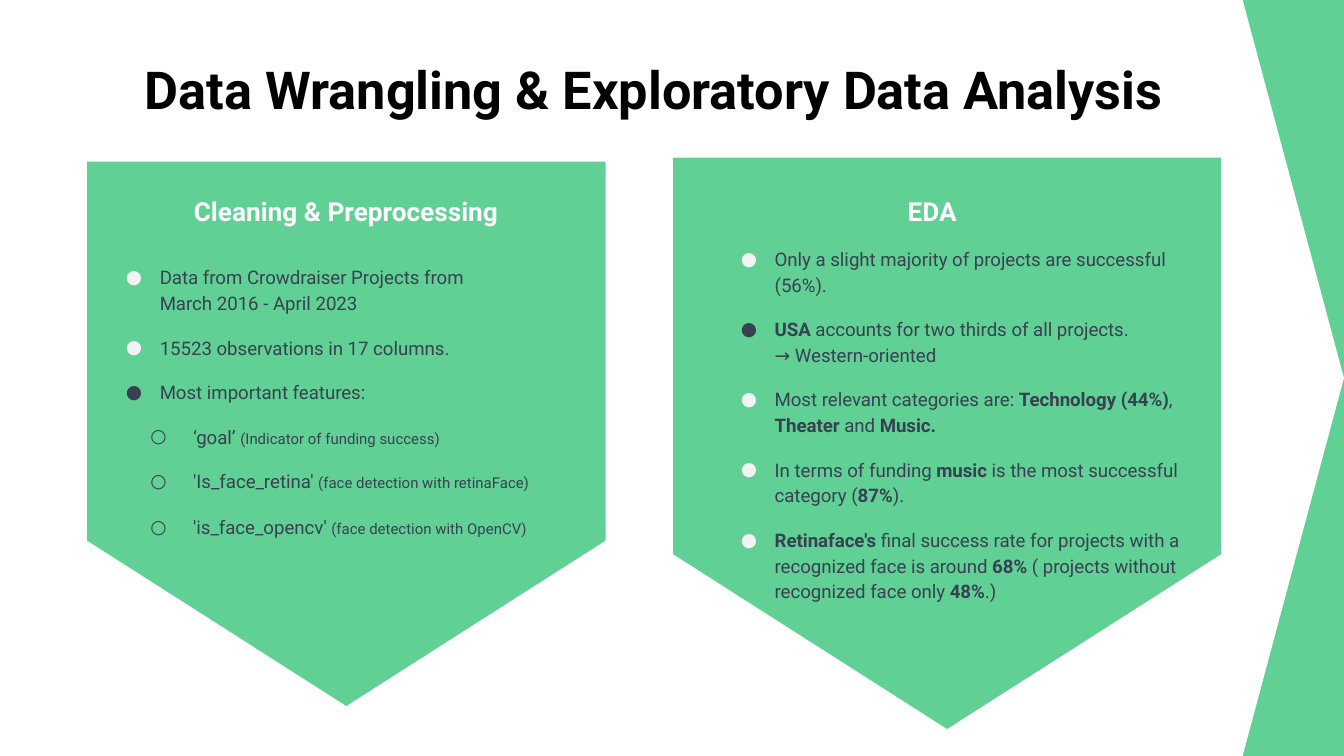
from lxml.etree import SubElement
from pptx import Presentation
from pptx.dml.color import RGBColor
from pptx.enum.shapes import MSO_SHAPE as Shape
from pptx.enum.text import MSO_ANCHOR as Anchor, MSO_AUTO_SIZE as AutoSize, PP_ALIGN as Align
from pptx.oxml.ns import qn
from pptx.util import Cm, Pt

GREEN = RGBColor(0x61, 0xD0, 0x95)
WHITE = RGBColor(0xFF, 0xFF, 0xFF)
BLACK = RGBColor(0x00, 0x00, 0x00)
SLATE = RGBColor(0x37, 0x41, 0x51)
PALE = RGBColor(0xF3, 0xF3, 0xF3)

WIDTH, HEIGHT = 25.4, 14.29
COMPARISON_LAYOUT = 4
SMALL = {"size": Pt(8)}
BOLD = {"bold": True}
# Level: bullet character, left margin, hanging indent
BULLETS = {0: ("●", 0.64, -0.64), 1: ("○", 1.27, -0.81)}

# Each item: level, bullet colour, space before in points, text with *emphasis*
CLEANING = [
    (0, PALE, 0, "Data from Crowdraiser Projects from\nMarch 2016 - April 2023"),
    (0, PALE, 10, "15523 observations in 17 columns."),
    (0, SLATE, 10, "Most important features:"),
    (1, SLATE, 10, "‘goal’ *(Indicator of funding success)*"),
    (1, SLATE, 10, "'Is_face_retina' *(face detection with retinaFace)*"),
    (1, SLATE, 11, "'is_face_opencv' *(face detection with OpenCV)*"),
]
EDA = [
    (0, PALE, 0, "Only a slight majority of projects are successful (56%)."),
    (0, SLATE, 10, "*USA* accounts for two thirds of all projects.\n→ Western-oriented"),
    (0, PALE, 10, "Most relevant categories are: *Technology (44%)*, *Theater* and *Music.*"),
    (0, PALE, 10, "In terms of funding *music* is the most successful category (*87%*)."),
    (0, PALE, 10, "*Retinaface's* final success rate for projects with a recognized face "
                  "is around *68%* ( projects without recognized face only *48%*.)"),
]


def set_values(target, values):
    for name, value in values.items():
        setattr(target, name, value)


class SlideBuilder:
    def __init__(self, page, font="Roboto"):
        self.page = page
        self.font = font

    def background(self, color):
        fill = self.page.background.fill
        fill.solid()
        fill.fore_color.rgb = color

    def pentagon(self, place, color, point, rotation=0):
        shape = self.page.shapes.add_shape(Shape.PENTAGON, *map(Cm, place))
        shape.adjustments[0] = point
        shape.rotation = rotation
        shape.shadow.inherit = False
        shape.fill.solid()
        shape.fill.fore_color.rgb = color
        shape.line.fill.background()

    def placeholder(self, index, place, left_inset=0.25):
        """Place a layout placeholder in front of the shapes drawn so far."""
        box = self.page.placeholders[index]
        self.page.shapes.element.append(box.element)
        set_values(box, dict(zip(("left", "top", "width", "height"), map(Cm, place))))
        set_values(box.text_frame, {
            "margin_left": Cm(left_inset), "margin_right": Cm(0.25),
            "margin_top": Cm(0.25), "margin_bottom": Cm(0.25),
            "word_wrap": True, "auto_size": AutoSize.NONE, "vertical_anchor": Anchor.TOP})
        return box.text_frame

    def span(self, para, text, color, **values):
        span = para.add_run()
        span.text = text
        set_values(span.font, {"name": self.font, "bold": False, **values})
        span.font.color.rgb = color

    def heading(self, index, place, text, size, color, spacing=1.15):
        para = self.placeholder(index, place).paragraphs[0]
        set_values(para, {"alignment": Align.CENTER, "line_spacing": spacing,
                          "space_before": Pt(0)})
        self.span(para, text, color, size=Pt(size), bold=True)

    def bullet(self, para, level, color):
        character, margin, indent = BULLETS[level]
        properties = para._p.get_or_add_pPr()
        properties.set("marL", str(Cm(margin)))
        properties.set("indent", str(Cm(indent)))
        tint = SubElement(properties, qn("a:buClr"))
        SubElement(tint, qn("a:srgbClr"), val=str(color))
        SubElement(properties, qn("a:buFont"), typeface=self.font)
        SubElement(properties, qn("a:buChar"), char=character)

    def bullet_list(self, index, place, items, emphasis, left_inset=0.25):
        frame = self.placeholder(index, place, left_inset)
        for number, (level, color, before, text) in enumerate(items):
            para = frame.add_paragraph() if number else frame.paragraphs[0]
            self.bullet(para, level, color)
            set_values(para, {"level": level, "alignment": Align.LEFT, "line_spacing": 1.15,
                              "space_before": Pt(before), "space_after": Pt(0)})
            for line_number, line in enumerate(text.split("\n")):
                if line_number:
                    para.add_line_break()
                for position, part in enumerate(line.split("*")):
                    if part:
                        style = emphasis if position % 2 else {}
                        self.span(para, part, SLATE, **{"size": Pt(10), **style})


def main():
    deck = Presentation()
    set_values(deck, {"slide_width": Cm(WIDTH), "slide_height": Cm(HEIGHT)})
    slide = SlideBuilder(deck.slides.add_slide(deck.slide_layouts[COMPARISON_LAYOUT]))

    slide.background(GREEN)
    slide.pentagon((0, 0, WIDTH, HEIGHT), WHITE, 0.134)
    slide.pentagon((1.4, 3.3, 10.29, 9.8), GREEN, 0.319, rotation=90)
    slide.pentagon((12.5, 3.2, 10.8, 10.36), GREEN, 0.319, rotation=90)

    slide.heading(0, (1.63, 0.84, 21.44, 1.7), "Data Wrangling & Exploratory Data Analysis",
                  28, BLACK, spacing=1)
    slide.heading(1, (1.98, 3.35, 9.12, 1.37), "Cleaning & Preprocessing", 14, WHITE)
    slide.bullet_list(2, (2.13, 4.72, 9.63, 5.87), CLEANING, SMALL)
    slide.heading(3, (13.06, 3.35, 9.12, 1.12), "EDA", 14, WHITE)
    slide.bullet_list(4, (13.36, 4.37, 9.19, 7.47), EDA, BOLD, left_inset=0.64)

    deck.save("out.pptx")


if __name__ == "__main__":
    main()
